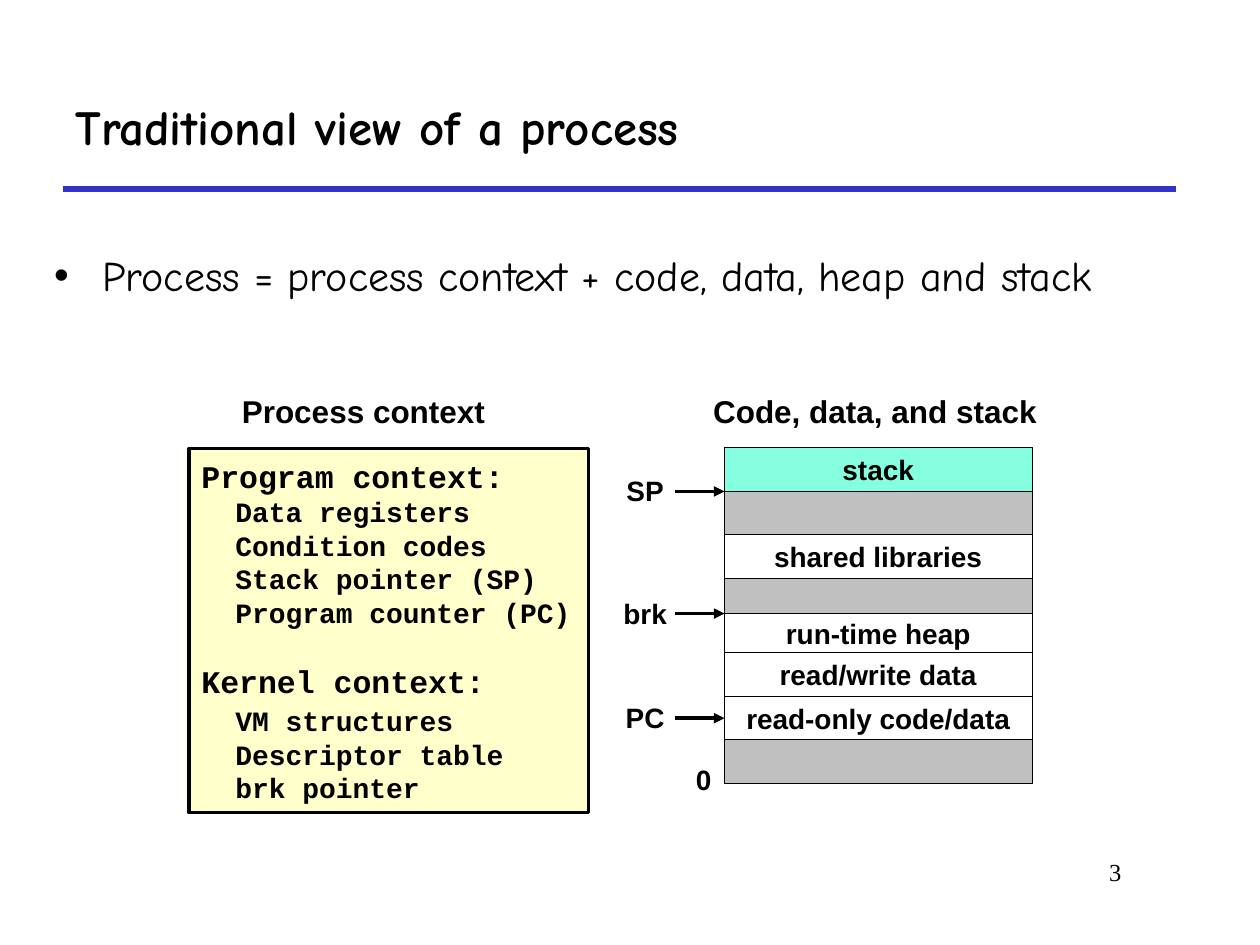
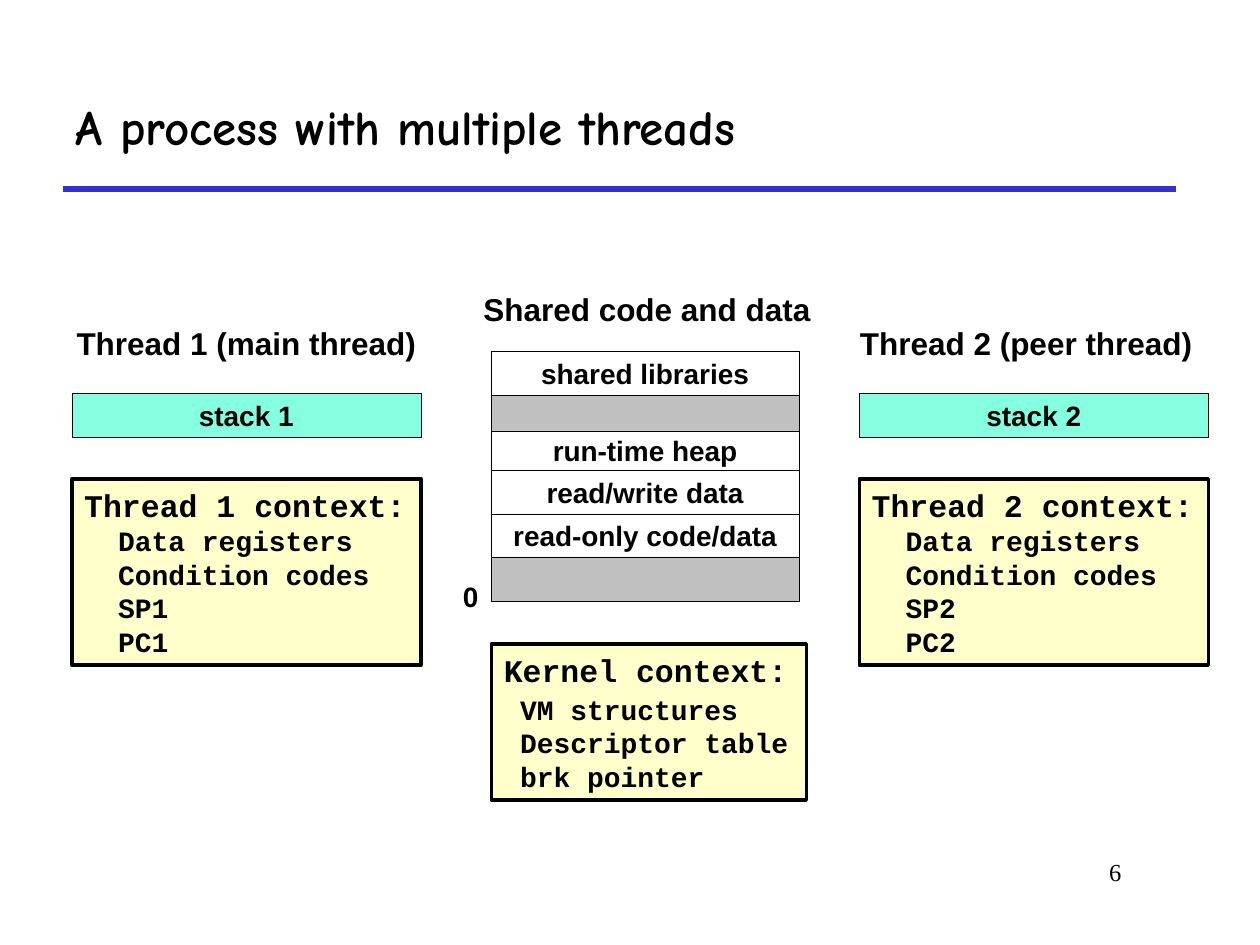
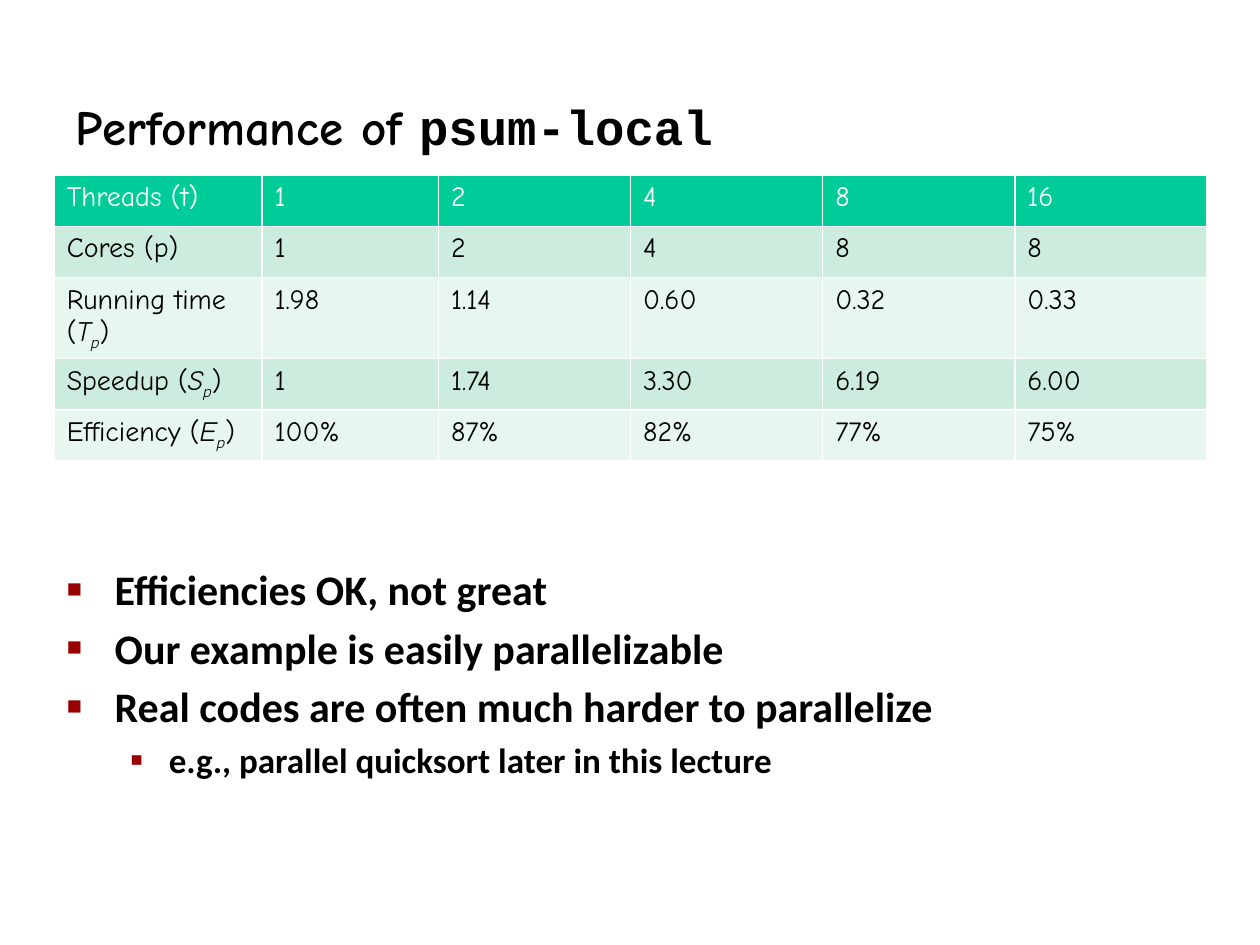
from lxml import etree
from pptx import Presentation
from pptx.dml.color import RGBColor as RGB
from pptx.enum.shapes import MSO_CONNECTOR as CONN, MSO_SHAPE as SHAPE
from pptx.enum.text import MSO_ANCHOR as ANCHOR, MSO_AUTO_SIZE as AUTO, PP_ALIGN as ALIGN
from pptx.oxml.ns import qn
from pptx.util import Inches, Pt

BLACK = RGB(0, 0, 0)
WHITE = RGB(255, 255, 255)
RULE_BLUE = RGB(0x33, 0x33, 0xCC)
GAP_GRAY = RGB(0xC0, 0xC0, 0xC0)
STACK_MINT = RGB(0x85, 0xFF, 0xE0)
CONTEXT_YELLOW = RGB(0xFF, 0xFF, 0xCC)
HEAD_GREEN = RGB(0, 0xCC, 0x99)
BANDS = RGB(0xCC, 0xEC, 0xDE), RGB(0xE7, 0xF6, 0xEF)
BULLET_RED = RGB(0x99, 0, 0)

HAND, SANS, MONO = "Comic Neue", "Arial", "Courier New"
SERIF, LIST_FONT = "Times New Roman", "Calibri"

# Grid of 100 columns by 75 rows
SLIDE_W, SLIDE_H = Inches(10), Inches(7.5)
COL, ROW = SLIDE_W // 100, SLIDE_H // 75

# Address space regions from high to low: label, rows, fill
SHARED_REGIONS = [
    ("shared libraries", 3.5, WHITE),
    ("", 2.8, GAP_GRAY),
    ("run-time heap", 3.1, WHITE),
    ("read/write data", 3.5, WHITE),
    ("read-only code/data", 3.4, WHITE),
    ("", 3.5, GAP_GRAY),
]
PRIVATE_REGIONS = [("stack", 3.5, STACK_MINT), ("", 3.4, GAP_GRAY)]
REGION_W = 24.4
KERNEL_ITEMS = ["VM structures", "Descriptor table", "brk pointer"]


def grid(x, y, w, h):
    return round(x * COL), round(y * ROW), round(w * COL), round(h * ROW)


def place(sp, box):
    sp.left, sp.top, sp.width, sp.height = grid(*box)


def add_run(p, text, size, font, bold=False, color=BLACK):
    r = p.add_run()
    r.text = text
    f = r.font
    f.size, f.name, f.bold = Pt(size), font, bold
    f.color.rgb = color
    return r


def add_line(slide, x1, y1, x2, y2, color, width):
    line = slide.shapes.add_connector(
        CONN.STRAIGHT, round(x1 * COL), round(y1 * ROW), round(x2 * COL), round(y2 * ROW))
    line.line.color.rgb, line.line.width = color, Pt(width)
    etree.SubElement(line.element.spPr, qn("a:effectLst"))
    return line


def add_label(slide, text, box, size=16, font=SANS, bold=True, align=ALIGN.CENTER,
              anchor=ANCHOR.MIDDLE):
    """One line of text that may use the full width of its box."""
    tf = slide.shapes.add_textbox(*grid(*box)).text_frame
    tf.word_wrap, tf.vertical_anchor = False, anchor
    tf.margin_left = tf.margin_right = 0
    p = tf.paragraphs[0]
    p.alignment = align
    add_run(p, text, size, font, bold)


def add_box(slide, box, fill, width, text=""):
    sp = slide.shapes.add_shape(SHAPE.RECTANGLE, *grid(*box))
    sp.shadow.inherit = False
    sp.fill.solid()
    sp.fill.fore_color.rgb = fill
    sp.line.color.rgb, sp.line.width = BLACK, Pt(width)
    tf = sp.text_frame
    tf.word_wrap, tf.vertical_anchor = True, ANCHOR.MIDDLE
    if text:
        p = tf.paragraphs[0]
        p.alignment = ALIGN.CENTER
        add_run(p, text, 16, SANS, True)
    return sp


def set_indent(p, left, hang=0):
    pPr = p._p.get_or_add_pPr()
    pPr.set("marL", str(Inches(left)))
    pPr.set("indent", str(-Inches(hang)))
    return pPr


def add_bullet(p, char, left, hang, color=BLACK, percent=100):
    pPr = set_indent(p, left, hang)
    clr = etree.SubElement(pPr, qn("a:buClr"))
    etree.SubElement(clr, qn("a:srgbClr"), val=str(color))
    etree.SubElement(pPr, qn("a:buSzPct"), val=str(percent * 1000))
    etree.SubElement(pPr, qn("a:buFont"), typeface=SANS)
    etree.SubElement(pPr, qn("a:buChar"), char=char)


def new_slide(prs, layout, title, number=None):
    """Slide with its title runs (text, font) and page number."""
    slide = prs.slides.add_slide(prs.slide_layouts.get_by_name(layout))
    sp = slide.shapes.title
    place(sp, (5, 5, 88.3, 10))
    tf = sp.text_frame
    tf.auto_size, tf.vertical_anchor = AUTO.NONE, ANCHOR.MIDDLE
    p = tf.paragraphs[0]
    p.alignment = ALIGN.LEFT
    for text, font in title:
        add_run(p, text, 28, font, True)
    if number:
        add_label(slide, number, (75.8, 67.5, 13.2, 5), 14, SERIF, False,
                  ALIGN.RIGHT, ANCHOR.TOP)
    return slide


def add_list(slide, box, items, font, bold):
    """Fill the body with items (text, size, level, bullet arguments)."""
    sp = slide.placeholders[1]
    place(sp, box)
    tf = sp.text_frame
    tf.auto_size, tf.word_wrap = AUTO.NONE, True
    for i, (text, size, level, bullet) in enumerate(items):
        p = tf.add_paragraph() if i else tf.paragraphs[0]
        p.level = level
        add_bullet(p, *bullet)
        p.space_before = Pt(size * 0.2 if i else 0)
        add_run(p, text, size, font, bold)


def add_address_space(slide, x, y, regions):
    """Stack the regions downwards and mark address 0 at the bottom."""
    cells = {}
    for text, h, fill in regions:
        cells[text] = add_box(slide, (x, y, REGION_W, h), fill, 0.25, text)
        y += h
    add_label(slide, "0", (x - 3.3, y - 2.2, 3.3, 3.7), anchor=ANCHOR.TOP)
    return cells


def add_pointer(slide, name, x, y):
    """Label and arrow whose head is at x, y."""
    add_label(slide, name, (x - 8.9, y - 1.9, 5.2, 3.7))
    line = add_line(slide, x - 3.9, y, x, y, BLACK, 2)
    ln = line.element.spPr.find(qn("a:ln"))
    etree.SubElement(ln, qn("a:tailEnd"), type="triangle")
    return line


def add_context(slide, box, sections, indent=0.27):
    """Yellow box of sections, each a heading and its indented items."""
    tf = add_box(slide, box, CONTEXT_YELLOW, 2).text_frame
    p = tf.paragraphs[0]
    for n, (heading, items) in enumerate(sections):
        if n:
            p = tf.add_paragraph()
            p.space_before = Pt(19)
        p.alignment = ALIGN.LEFT
        add_run(p, heading, 18, MONO, True)
        for item in items:
            p = tf.add_paragraph()
            p.alignment = ALIGN.LEFT
            set_indent(p, indent)
            if item == KERNEL_ITEMS[0]:
                p.space_before = Pt(2)
            add_run(p, item, 16, MONO, True)


def add_thread(slide, x, y, number, role, heading_shift=0):
    """Column with a thread's heading, stack and context."""
    w = 27.7
    add_label(slide, f"Thread {number} ({role} thread)", (x + heading_shift, y, w, 4), 18)
    add_box(slide, (x, y + 6, w, 3.5), STACK_MINT, 0.25, f"stack {number}")
    items = ["Data registers", "Condition codes", f"SP{number}", f"PC{number}"]
    add_context(slide, (x, y + 12.8, w, 14.8), [(f"Thread {number} context:", items)])


def set_borders(cell, color, width):
    tcPr = cell._tc.get_or_add_tcPr()
    for i, side in enumerate(("lnL", "lnR", "lnT", "lnB")):
        ln = etree.Element(qn(f"a:{side}"), w=str(Pt(width)))
        fill = etree.SubElement(ln, qn("a:solidFill"))
        etree.SubElement(fill, qn("a:srgbClr"), val=str(color))
        tcPr.insert(i, ln)


def add_results(slide, x, y, widths, row_h, rows):
    """Table of rows (label, symbol with subscript p, values)."""
    box = grid(x, y, sum(widths), row_h * len(rows))
    table = slide.shapes.add_table(len(rows), len(widths), *box).table
    for column, w in zip(table.columns, widths):
        column.width = round(w * COL)
    for i, (label, symbol, values) in enumerate(rows):
        color = BLACK if i else WHITE
        for j, text in enumerate([label] + values.split()):
            cell = table.cell(i, j)
            cell.fill.solid()
            cell.fill.fore_color.rgb = BANDS[(i - 1) % 2] if i else HEAD_GREEN
            set_borders(cell, WHITE, 1)
            p = cell.text_frame.paragraphs[0]
            if j or not symbol:
                add_run(p, text, 16, HAND, color=color)
                continue
            add_run(p, f"{text} (", 16, HAND, color=color)
            for letter in (symbol, "p"):
                r = add_run(p, letter, 16, HAND, color=color)
                r.font.italic = True
            r._r.get_or_add_rPr().set("baseline", "-25000")
            add_run(p, ")", 16, HAND, color=color)


def process_slide(prs):
    slide = new_slide(prs, "Title and Content", [("Traditional view of a process", HAND)], "3")
    add_list(slide, (3.3, 19.3, 92.5, 11.7),
             [("Process = process context + code, data, heap and stack", 24, 0,
               ("•", 0.38, 0.38))], HAND, False)
    # Process context
    add_label(slide, "Process context", (18.2, 30.6, 21.3, 4), 18)
    add_context(slide, (15, 35.6, 31.7, 28.9), [
        ("Program context:", ["Data registers", "Condition codes", "Stack pointer (SP)",
                              "Program counter (PC)"]),
        ("Kernel context:", KERNEL_ITEMS)])
    # Address space with its pointers
    x, y = 57.5, 35.5
    add_label(slide, "Code, data, and stack", (x - 1.9, 30.6, 27.7, 4), 18)
    cells = add_address_space(slide, x, y, PRIVATE_REGIONS + SHARED_REGIONS)
    add_pointer(slide, "SP", x, cells["stack"].top / ROW + 3.5)
    add_pointer(slide, "brk", x, cells["run-time heap"].top / ROW)
    code = cells["read-only code/data"]
    add_pointer(slide, "PC", x, (code.top + code.height / 2) / ROW).end_connect(code, 1)
    return slide


def threads_slide(prs):
    slide = new_slide(prs, "Title Only", [("A process with multiple threads", HAND)], "6")
    add_thread(slide, 5.7, 25.2, 1, "main")
    add_thread(slide, 68.2, 25.2, 2, "peer", -0.6)
    # Shared parts
    x = 39
    add_label(slide, "Shared code and data", (x - 2, 22.5, 28.7, 4), 18)
    add_address_space(slide, x, 27.9, SHARED_REGIONS)
    add_context(slide, (x, 51.1, 25, 12.4), [("Kernel context:", KERNEL_ITEMS)], 0.13)


def performance_slide(prs):
    slide = new_slide(prs, "Title and Content",
                      [("Performance of ", HAND), ("psum-local", MONO)])
    add_results(slide, 4.3, 13.9, [16.5, 14] + [15.25] * 4, 4.07, [
        ("Threads (t)", "", "1 2 4 8 16"),
        ("Cores (p)", "", "1 2 4 8 8"),
        ("Running time", "T", "1.98 1.14 0.60 0.32 0.33"),
        ("Speedup", "S", "1 1.74 3.30 6.19 6.00"),
        ("Efficiency", "E", "100% 87% 82% 77% 75%")])
    square = ("■", 0.38, 0.38, BULLET_RED, 60)
    small = ("▪", 0.81, 0.31, BULLET_RED, 110)
    add_list(slide, (4.3, 44.2, 86.4, 19.2), [
        ("Efficiencies OK, not great", 24, 0, square),
        ("Our example is easily parallelizable", 24, 0, square),
        ("Real codes are often much harder to parallelize", 24, 0, square),
        ("e.g., parallel quicksort later in this lecture", 20, 1, small)], LIST_FONT, True)


def main():
    prs = Presentation()
    prs.slide_width, prs.slide_height = SLIDE_W, SLIDE_H
    first = process_slide(prs)
    # The rule under the title belongs to the master
    rule = add_line(first, 5, 15, 93.3, 15, RULE_BLUE, 3)
    prs.slide_master.shapes.element.append(rule.element)
    threads_slide(prs)
    performance_slide(prs)
    prs.save("out.pptx")


if __name__ == "__main__":
    main()
